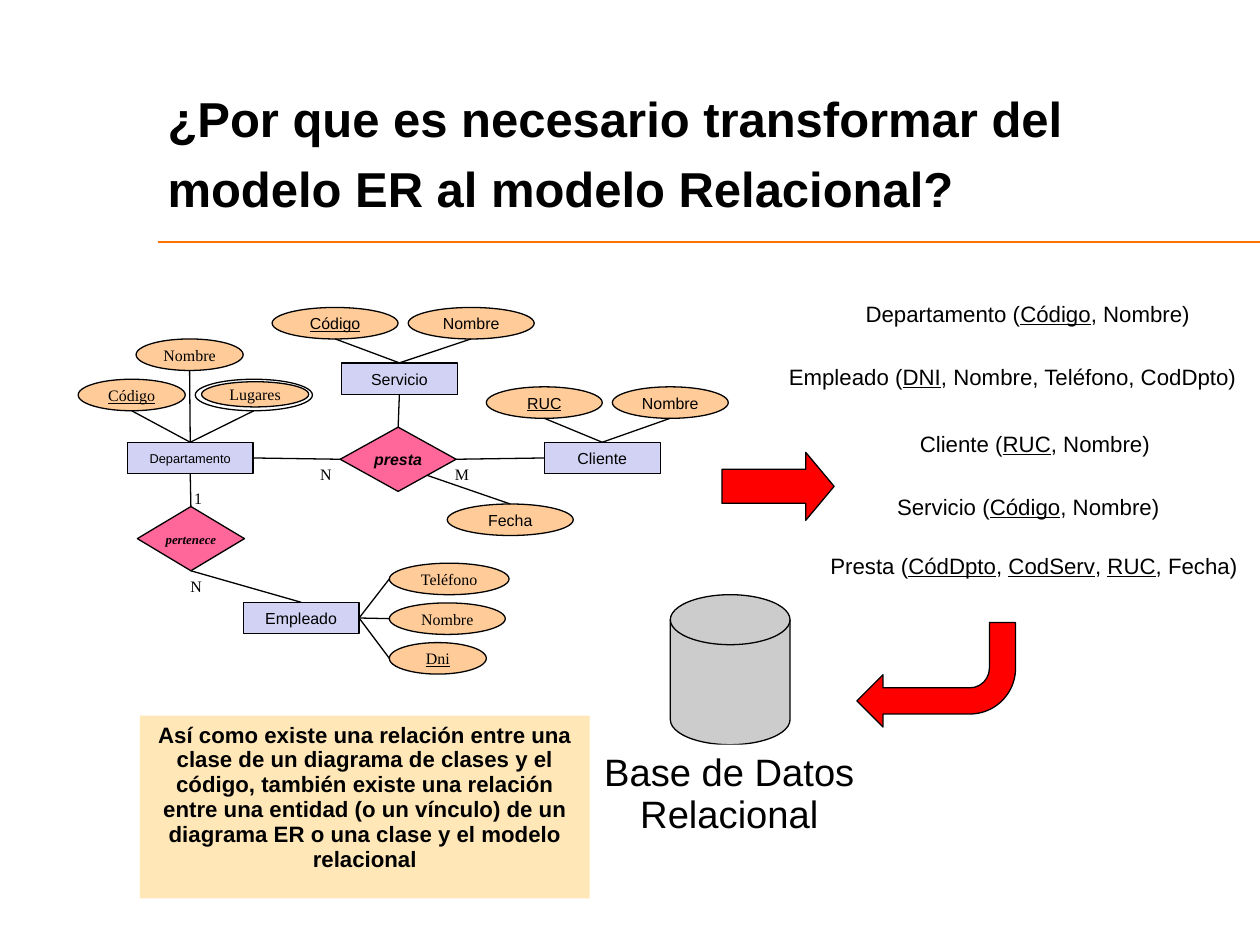
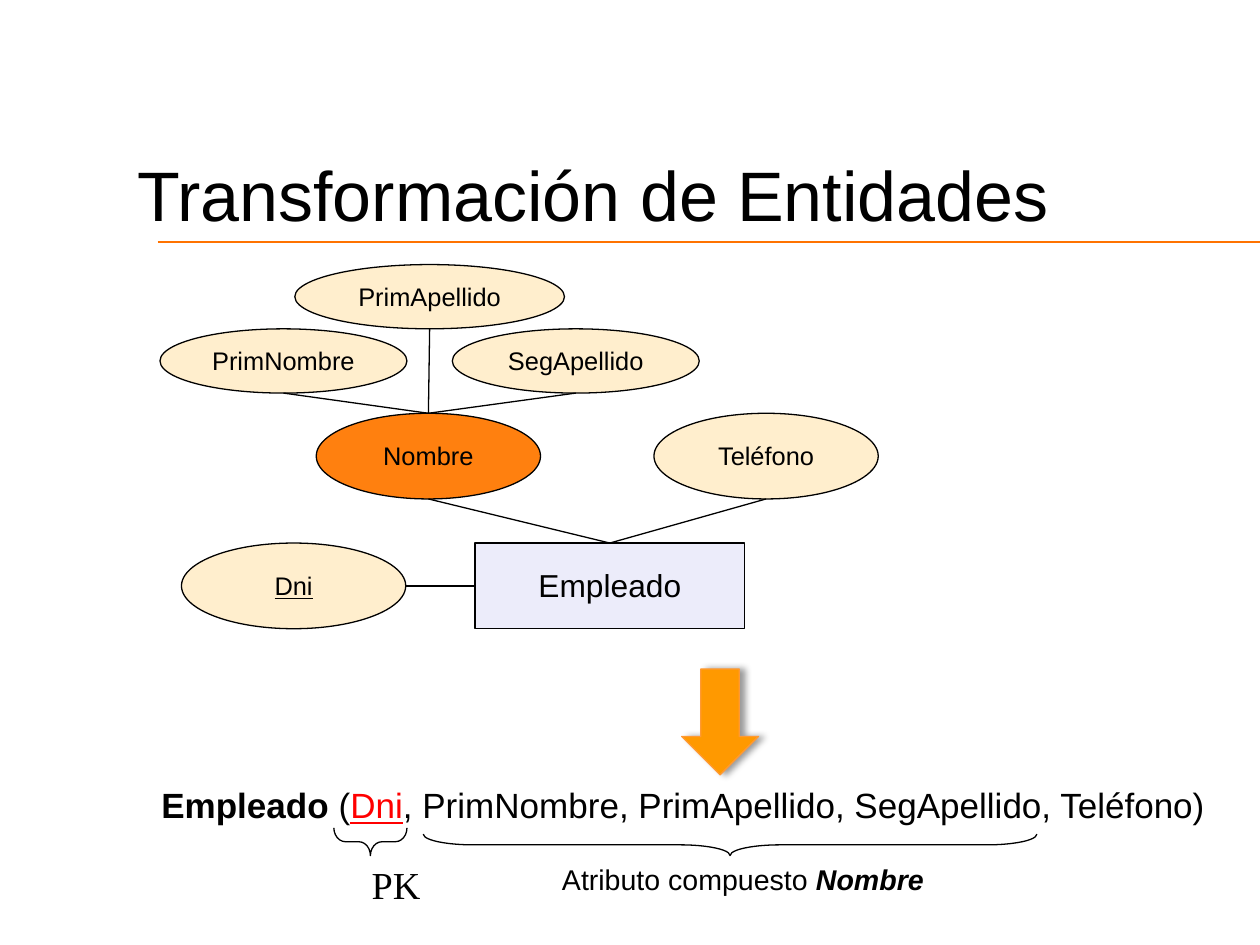
from dataclasses import dataclass

from lxml import etree
from pptx import Presentation
from pptx.dml.color import RGBColor
from pptx.enum.shapes import MSO_CONNECTOR, MSO_SHAPE
from pptx.enum.text import MSO_ANCHOR, MSO_AUTO_SIZE, PP_ALIGN
from pptx.oxml.ns import qn
from pptx.util import Inches, Pt

STRAIGHT = MSO_CONNECTOR.STRAIGHT
RECT, ELLIPSE, DIAMOND = MSO_SHAPE.RECTANGLE, MSO_SHAPE.OVAL, MSO_SHAPE.DIAMOND
BRACE, CYLINDER = MSO_SHAPE.LEFT_BRACE, MSO_SHAPE.FLOWCHART_MAGNETIC_DISK
RIGHT_ARROW, DOWN_ARROW = MSO_SHAPE.RIGHT_ARROW, MSO_SHAPE.DOWN_ARROW
BENT_ARROW = MSO_SHAPE.BENT_ARROW
LEFT_ALIGN, CENTER = PP_ALIGN.LEFT, PP_ALIGN.CENTER
ANCHOR_TOP, ANCHOR_MIDDLE = MSO_ANCHOR.TOP, MSO_ANCHOR.MIDDLE
NO_AUTOFIT = MSO_AUTO_SIZE.NONE
TITLE_ONLY = 5

# Points on a shape, as fractions of its width and height
TOP, BOTTOM, LEFT, RIGHT = (0.5, 0), (0.5, 1), (0, 0.5), (1, 0.5)
LOWER_RIGHT = (0.75, 0.75)


@dataclass(frozen=True)
class Theme:
    sans: str = "Arial"
    serif: str = "Times New Roman"
    ink: str = "000000"
    paper: str = "FFFFFF"
    rule: str = "FF7300"
    entity: str = "D2D2F4"
    attribute: str = "FFCC99"
    relationship: str = "FF6699"
    light_entity: str = "ECECFA"
    light_attribute: str = "FFEECD"
    composite: str = "FF800F"
    note: str = "FFE7B7"
    database: str = "CCCCCC"
    red: str = "FF0000"
    orange: str = "FF9900"
    orange_edge: str = "FF9933"
    line_width: float = 0.75
    line_spacing: float = 0.93
    title: float = 40
    question: float = 28
    caption: float = 21.8
    schema: float = 20
    big_entity: float = 18.1
    remark: float = 16.3
    big_attribute: float = 14.5
    body: float = 12.7
    small: float = 9.1
    tiny: float = 7.3


THEME = Theme()


def write(shape, text, *, size, font=THEME.sans, color=THEME.ink, bold=False,
          italic=False, underline=False, align=LEFT_ALIGN, anchor=ANCHOR_TOP,
          wrap=False, spacing=THEME.line_spacing):
    """Text is a string, or a list of (text, overrides) runs for one paragraph."""
    frame = shape.text_frame
    frame.auto_size = NO_AUTOFIT
    frame.word_wrap = wrap
    frame.vertical_anchor = anchor
    frame.margin_left = frame.margin_right = Inches(0.09)
    frame.margin_top, frame.margin_bottom = Inches(0.06), Inches(0.04)
    base = dict(bold=bold, italic=italic, underline=underline, color=color)
    if isinstance(text, str):
        paragraphs = [[(line, {})] for line in text.split("\n")]
    else:
        paragraphs = [text]
    for number, runs in enumerate(paragraphs):
        paragraph = frame.add_paragraph() if number else frame.paragraphs[0]
        paragraph.alignment = align
        paragraph.line_spacing = spacing
        for words, overrides in runs:
            run = paragraph.add_run()
            run.text = words
            look = {**base, **overrides}
            run.font.name, run.font.size = font, Pt(size)
            run.font.bold, run.font.italic = look["bold"], look["italic"]
            run.font.underline = look["underline"]
            run.font.color.rgb = RGBColor.from_string(look["color"])


def mark_keys(relation):
    """Split a relation at underscores; every second piece is an underlined key."""
    return [(piece, {"underline": number % 2 == 1})
            for number, piece in enumerate(relation.split("_"))]


def stroke(line, color=THEME.ink):
    line.color.rgb = RGBColor.from_string(color)
    line.width = Pt(THEME.line_width)


def draw_line(shapes, start, end, color=THEME.ink):
    """Draw a straight line between two (x, y) points in EMU."""
    connector = shapes.add_connector(STRAIGHT, *start, *end)
    stroke(connector.line, color)
    etree.SubElement(connector.element.spPr, qn("a:effectLst"))
    return connector


class Region:
    """A group of parts placed relative to its left and top, in inches."""

    def __init__(self, slide, left, top):
        self.shapes = slide.shapes.add_group_shape().shapes
        self.left, self.top = left, top

    def place(self, left, top, width, height):
        return [Inches(v) for v in (self.left + left, self.top + top, width, height)]

    def draw(self, preset, box, fill=None, edge=THEME.ink):
        shape = self.shapes.add_shape(preset, *self.place(*box))
        shape.shadow.inherit = False
        if fill:
            shape.fill.solid()
            shape.fill.fore_color.rgb = RGBColor.from_string(fill)
        else:
            shape.fill.background()
        if edge:
            stroke(shape.line, edge)
        else:
            shape.line.fill.background()
        return shape

    def node(self, preset, box, name, fill, size=THEME.small, **look):
        shape = self.draw(preset, box, fill)
        write(shape, name, size=size, align=CENTER, anchor=ANCHOR_MIDDLE, **look)
        return shape

    def label(self, box, text, **look):
        write(self.shapes.add_textbox(*self.place(*box)), text, **look)

    def link(self, start, start_side, end, end_side):
        points = [(int(shape.left + shape.width * x), int(shape.top + shape.height * y))
                  for shape, (x, y) in ((start, start_side), (end, end_side))]
        draw_line(self.shapes, *points)

    def brace(self, left, top, width, height, curl):
        """Draw a brace that points down and fills the given box."""
        box = (left + (width - height) / 2, top + (height - width) / 2, height, width)
        shape = self.draw(BRACE, box)
        shape.rotation = 270
        shape.adjustments[0] = curl


def set_title(slide, box, text, **look):
    title = slide.shapes.title
    title.left, title.top, title.width, title.height = [Inches(v) for v in box]
    write(title, text, wrap=True, **look)


def add_title_rule(slide, layout):
    """Draw the rule under the titles and move it to the shared layout."""
    rule = draw_line(slide.shapes, (Inches(1.25), Inches(1.92)),
                     (Inches(10), Inches(1.92)), THEME.rule)
    rule.element.nvCxnSpPr.cNvPr.set("id", "20")
    layout.shapes.element.append(rule.element)


def draw_er_model(slide, left, top):
    er = Region(slide, left, top)
    height, diamond_height = 0.25, 0.51

    def entity(x, y, name, width=0.92, size=THEME.small):
        return er.node(RECT, (x, y, width, height), name, THEME.entity, size)

    def attribute(x, y, name, width, **look):
        return er.node(ELLIPSE, (x, y, width, height), name, THEME.attribute, **look)

    def relationship(x, y, name, width, **look):
        return er.node(DIAMOND, (x, y, width, diamond_height), name,
                       THEME.relationship, bold=True, italic=True, **look)

    serif, key = {"font": THEME.serif}, {"underline": True}
    department = entity(0.39, 1.07, "Departamento", 1, THEME.tiny)
    client = entity(3.7, 1.07, "Cliente")
    service = entity(2.09, 0.44, "Servicio")
    employee = entity(1.31, 2.34, "Empleado")
    provides = relationship(2.08, 0.95, "presta", 0.92)
    belongs = relationship(0.47, 1.58, "pertenece", 0.85, size=THEME.tiny, **serif)

    places = er.draw(ELLIPSE, (0.93, 0.57, 0.93, height), THEME.paper)
    er.node(ELLIPSE, (0.98, 0.59, 0.85, 0.2), "Lugares", THEME.attribute, **serif)
    date = attribute(2.93, 1.56, "Fecha", 1)
    owned = [
        (department, [attribute(0, 0.57, "Código", 0.85, **serif, **key),
                      attribute(0.46, 0.25, "Nombre", 0.85, **serif), places]),
        (client, [attribute(3.24, 0.63, "RUC", 0.92, **key),
                  attribute(4.24, 0.63, "Nombre", 0.92)]),
        (service, [attribute(1.54, 0, "Código", 1, **key),
                   attribute(2.62, 0, "Nombre", 1)]),
    ]
    for owner, attributes in owned:
        for item in attributes:
            er.link(item, BOTTOM, owner, TOP)

    employee_attributes = [("Teléfono", 0.95, {}), ("Nombre", 0.92, {}), ("Dni", 0.77, key)]
    for row, (name, width, look) in enumerate(employee_attributes):
        item = attribute(2.47, 2.03 + 0.315 * row, name, width, **serif, **look)
        er.link(item, LEFT, employee, RIGHT)

    er.link(provides, LEFT, department, RIGHT)
    er.link(provides, RIGHT, client, LEFT)
    er.link(provides, TOP, service, BOTTOM)
    er.link(provides, LOWER_RIGHT, date, TOP)
    er.link(department, BOTTOM, belongs, TOP)
    er.link(belongs, BOTTOM, employee, TOP)
    for x, y, count in [(1.83, 1.2, "N"), (2.9, 1.2, "M"), (0.8, 2.09, "N"), (0.83, 1.39, "1")]:
        er.label((x, y, 0.39, 0.27), count, size=THEME.small, **serif)


def draw_relations(slide, left, top):
    relations = Region(slide, left, top)
    for x, y, width, relation in [
        (0.61, 0, 2.76, "Departamento (_Código_, Nombre)"),
        (0, 0.5, 3.75, "Empleado (_DNI_, Nombre, Teléfono, CodDpto)"),
        (1.04, 1.03, 1.91, "Cliente (_RUC_, Nombre)"),
        (0.86, 1.53, 2.27, "Servicio (_Código_, Nombre)"),
        (0.33, 2, 3.32, "Presta (_CódDpto_, _CodServ_, _RUC_, Fecha)"),
    ]:
        relations.label((x, y, width, 0.29), mark_keys(relation), size=THEME.body)


def draw_database(slide, left, top):
    database = Region(slide, left, top)
    database.draw(CYLINDER, (0.36, 0, 0.95, 1.19), THEME.database)
    caption = database.draw(RECT, (0, 1.19, 1.66, 0.6), THEME.paper, None)
    write(caption, "Base de Datos\nRelacional", size=THEME.caption, align=CENTER)


def draw_flow_arrows(slide, left, top):
    arrows = Region(slide, left, top)
    to_relations = arrows.draw(RIGHT_ARROW, (0, 0, 0.89, 0.54), THEME.red)
    to_relations.adjustments[1] = 0.417
    arrows.draw(BENT_ARROW, (1.07, 1.35, 1.26, 0.83), THEME.red).rotation = 180


def draw_note(slide, left, top):
    note = Region(slide, left, top).draw(RECT, (0, 0, 3.57, 1.45), THEME.note, None)
    write(note, "Así como existe una relación entre una clase de un diagrama de clases "
          "y el código, también existe una relación entre una entidad (o un vínculo) "
          "de un diagrama ER o una clase y el modelo relacional",
          size=THEME.body, bold=True, align=CENTER, wrap=True)


def draw_employee_entity(slide, left, top):
    er = Region(slide, left, top)

    def attribute(x, y, name, width=1.78, height=0.68, fill=THEME.light_attribute, **look):
        return er.node(ELLIPSE, (x, y, width, height), name, fill,
                       THEME.big_attribute, **look)

    employee = er.node(RECT, (2.5, 2.21, 2.14, 0.68), "Empleado",
                       THEME.light_entity, THEME.big_entity)
    dni = attribute(0.17, 2.21, "Dni", underline=True)
    full_name = attribute(1.24, 1.18, "Nombre", fill=THEME.composite)
    phone = attribute(3.92, 1.18, "Teléfono")
    name_parts = [attribute(0, 0.51, "PrimNombre", 1.96, 0.51),
                  attribute(1.07, 0, "PrimApellido", 2.14, 0.51),
                  attribute(2.32, 0.51, "SegApellido", 1.96, 0.51)]
    for part in name_parts:
        er.link(part, BOTTOM, full_name, TOP)
    for item in (full_name, phone):
        er.link(item, BOTTOM, employee, TOP)
    er.link(dni, RIGHT, employee, LEFT)


def draw_down_arrow(slide, left, top):
    arrow = Region(slide, left, top).draw(
        DOWN_ARROW, (0, 0, 0.61, 0.84), THEME.orange, THEME.orange_edge)
    effects = arrow.element.spPr.find(qn("a:effectLst"))
    shadow = etree.SubElement(effects, qn("a:outerShdw"), blurRad=str(int(Pt(4))),
                              dist=str(int(Pt(3))), dir="0", rotWithShape="0")
    tint = etree.SubElement(shadow, qn("a:srgbClr"), val=THEME.ink)
    etree.SubElement(tint, qn("a:alpha"), val="40000")


def draw_employee_relation(slide, left, top):
    relation = Region(slide, left, top)
    relation.label((0, 0, 8.81, 0.38), [
        ("Empleado", {"bold": True}), (" (", {}),
        ("Dni", {"color": THEME.red, "underline": True}),
        (", PrimNombre, PrimApellido, SegApellido, Teléfono)", {})], size=THEME.schema)
    relation.brace(1.46, 0.38, 0.58, 0.22, curl=0.42)
    relation.brace(2.17, 0.43, 4.87, 0.17, curl=2.33)
    relation.label((1.67, 0.62, 0.49, 0.32), "PK", size=THEME.caption, font=THEME.serif)
    relation.label((3.18, 0.62, 3.05, 0.33), [
        ("Atributo compuesto ", {}), ("Nombre", {"bold": True, "italic": True})],
        size=THEME.remark)


def build_motivation(slide):
    set_title(slide, (1.24, 0.56, 8.42, 1.16),
              "¿Por que es necesario transformar del modelo ER al modelo Relacional?",
              size=THEME.question, bold=True, spacing=Pt(39.8))
    draw_note(slide, 1.11, 5.68)
    draw_er_model(slide, 0.62, 2.44)
    draw_relations(slide, 6.17, 2.34)
    draw_database(slide, 4.96, 4.72)
    draw_flow_arrows(slide, 5.73, 3.59)


def build_entity_transformation(slide):
    set_title(slide, (1, 1.14, 9, 0.76), "Transformación de Entidades",
              size=THEME.title, spacing=1.0)
    draw_employee_relation(slide, 1.19, 6.19)
    draw_employee_entity(slide, 1.27, 2.1)
    draw_down_arrow(slide, 5.41, 5.31)


def main():
    deck = Presentation()
    deck.slide_width, deck.slide_height = Inches(10), Inches(7.5)
    layout = deck.slide_layouts[TITLE_ONLY]
    motivation, transformation = [deck.slides.add_slide(layout) for _ in range(2)]
    add_title_rule(motivation, layout)
    build_motivation(motivation)
    build_entity_transformation(transformation)
    deck.save("out.pptx")


if __name__ == "__main__":
    main()
